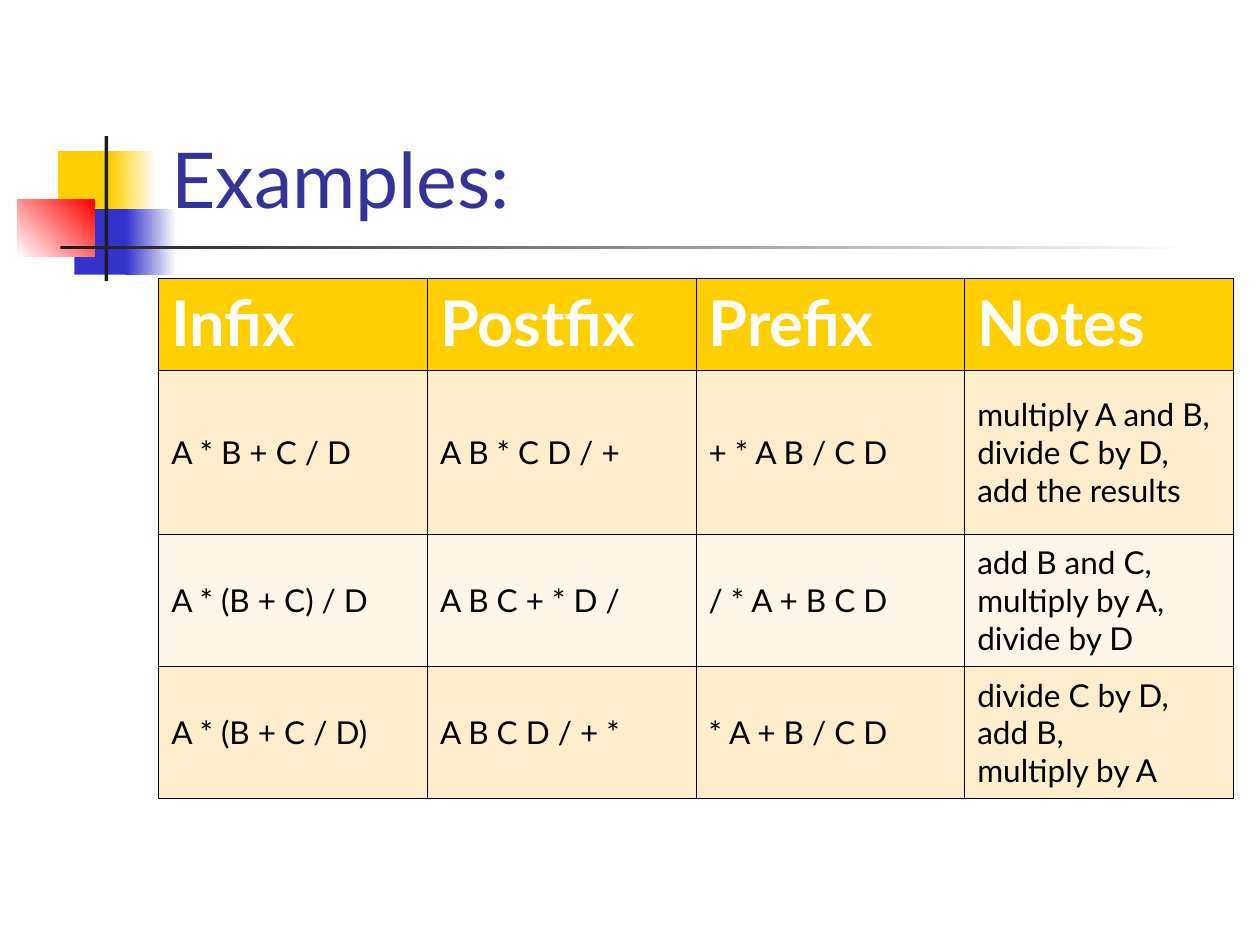
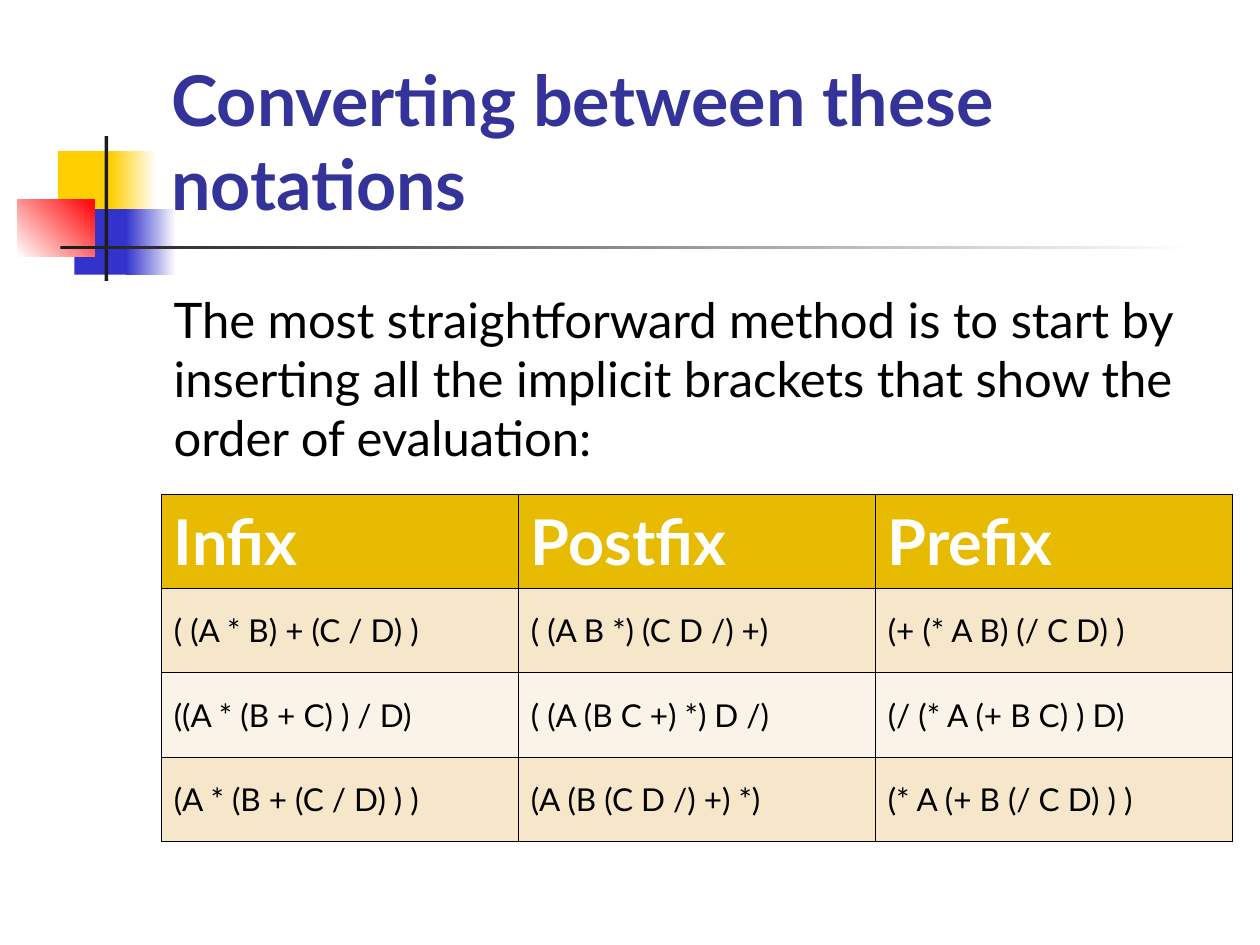
from lxml.etree import SubElement
from pptx import Presentation
from pptx.dml.color import RGBColor
from pptx.enum.shapes import MSO_SHAPE as Shape
from pptx.enum.text import MSO_ANCHOR as Anchor, MSO_AUTO_SIZE as AutoSize, PP_ALIGN as Align
from pptx.oxml import parse_xml
from pptx.oxml.ns import nsdecls, qn
from pptx.util import Inches, Pt

FONT = "Lato"
WHITE, BLACK = "FFFFFF", "000000"
GOLD, BLUE, RED, INK, TITLE = "FFCF01", "3333CC", "FF0000", "1C1C1C", "333399"


def color(value):
    return RGBColor.from_string(value)


def put_text(frame, text, hue, anchor, **font):
    frame.text = text
    frame.word_wrap = True
    para = frame.paragraphs[0]
    para.alignment = Align.LEFT
    for span in para.runs:
        span.font.color.rgb = color(hue)
        for name, value in {"name": FONT, **font}.items():
            setattr(span.font, name, value)
    frame.vertical_anchor = anchor


BAND = [
    (0.46, 1.2, 0.48, 0.52, [GOLD], 0),
    (0.88, 1.2, 0.36, 0.52, [GOLD, WHITE], 0),
    (0.59, 1.66, 0.46, 0.52, [BLUE], 0),
    (1, 1.66, 0.4, 0.52, [BLUE, WHITE], 0),
    (0.14, 1.58, 0.61, 0.46, [WHITE, RED], 45),
    (0.83, 1.08, 0.03, 1.15, [INK], 0),
    (0.48, 1.95, 9, 0.03, [INK, WHITE], 0),
]

PAGES = [
    {
        "title": "Examples:",
        "title_at": (1.26, 0.23, 8.52, 1.6),
        "title_font": {"size": Pt(44), "bold": False},
        "table_at": (1.26, 2.21, 8.53, 4.13),
        "row_heights": [0.73, 1.3, 1.05, 1.05],
        "header_anchor": Anchor.TOP,
        "fills": [GOLD, "FFEDCB", "FFF6E7"],
        "rows": [
            ["Infix", "Postfix", "Prefix", "Notes"],
            ["A * B + C / D", "A B * C D / +", "+ * A B / C D",
             "multiply A and B,\vdivide C by D,\vadd the results"],
            ["A * (B + C) / D", "A B C + * D /", "/ * A + B C D",
             "add B and C,\vmultiply by A,\vdivide by D"],
            ["A * (B + C / D)", "A B C D / + *", "* A + B / C D",
             "divide C by D,\vadd B,\vmultiply by A"],
        ],
    },
    {
        "title": "Converting between these \vnotations",
        "title_at": (1.26, 0.5, 8.52, 1.33),
        "title_font": {"size": Pt(40), "bold": True},
        "table_at": (1.28, 3.92, 8.5, 2.75),
        "row_heights": [0.75, 0.67, 0.67, 0.67],
        "header_anchor": Anchor.MIDDLE,
        "fills": ["E7BB01", "F6E7CB", "FAF3E7"],
        "rows": [
            ["Infix", "Postfix", "Prefix"],
            ["( (A * B) + (C / D) )", "( (A B *) (C D /) +)", "(+ (* A B) (/ C D) )"],
            ["((A * (B + C) ) / D)", "( (A (B C +) *) D /)", "(/ (* A (+ B C) ) D)"],
            ["(A * (B + (C / D) ) )", "(A (B (C D /) +) *)", "(* A (+ B (/ C D) ) )"],
        ],
    },
]

deck = Presentation()
deck.slide_width, deck.slide_height = Inches(10), Inches(7.5)
layout = deck.slide_layouts[5]
pages = [deck.slides.add_slide(layout) for content in PAGES]

for *place, hues, angle in BAND:
    box = pages[0].shapes.add_shape(Shape.RECTANGLE, *map(Inches, place))
    box.shadow.inherit = False
    box.line.fill.background()
    if len(hues) == 1:
        box.fill.solid()
        box.fill.fore_color.rgb = color(hues[0])
    else:
        box.fill.gradient()
        box.fill.gradient_angle = angle
        for stop, hue in zip(box.fill.gradient_stops, hues):
            stop.color.rgb = color(hue)
    layout.shapes.element.append(box.element)

for page, content in zip(pages, PAGES):
    title = page.shapes.title
    for side, length in zip(("left", "top", "width", "height"), content["title_at"]):
        setattr(title, side, Inches(length))
    put_text(title.text_frame, content["title"], TITLE, Anchor.BOTTOM, **content["title_font"])
    title.text_frame.auto_size = AutoSize.NONE

    rows = content["rows"]
    place = map(Inches, content["table_at"])
    table = page.shapes.add_table(len(rows), len(rows[0]), *place).table
    header_fill, *body_fills = content["fills"]
    for index, (texts, height) in enumerate(zip(rows, content["row_heights"])):
        table.rows[index].height = Inches(height)
        for cell, text in zip(table.rows[index].cells, texts):
            if index == 0:
                fill = header_fill
                put_text(cell.text_frame, text, WHITE, None, size=Pt(36), bold=True)
                cell.vertical_anchor = content["header_anchor"]
            else:
                fill = body_fills[(index - 1) % 2]
                put_text(cell.text_frame, text, BLACK, None, size=Pt(18), bold=False)
                cell.vertical_anchor = Anchor.MIDDLE
            properties = cell._tc.get_or_add_tcPr()
            for edge in ("lnL", "lnR", "lnT", "lnB"):
                border = parse_xml(f'<a:{edge} {nsdecls("a")} w="{Pt(0.45)}"/>')
                solid = SubElement(border, qn("a:solidFill"))
                SubElement(solid, qn("a:srgbClr"), val=BLACK)
                properties.append(border)
            cell.fill.solid()
            cell.fill.fore_color.rgb = color(fill)

method = pages[1].shapes.add_shape(
    Shape.RECTANGLE, Inches(1.28), Inches(2.25), Inches(8.5), Inches(1.5))
method.shadow.inherit = False
method.fill.solid()
method.fill.fore_color.rgb = color(WHITE)
method.line.color.rgb = color(WHITE)
method.line.width = Pt(0.75)
put_text(
    method.text_frame,
    "The most straightforward method is to start by inserting all the implicit "
    "brackets that show the order of evaluation:",
    BLACK, Anchor.TOP, size=Pt(28))

deck.save("out.pptx")
